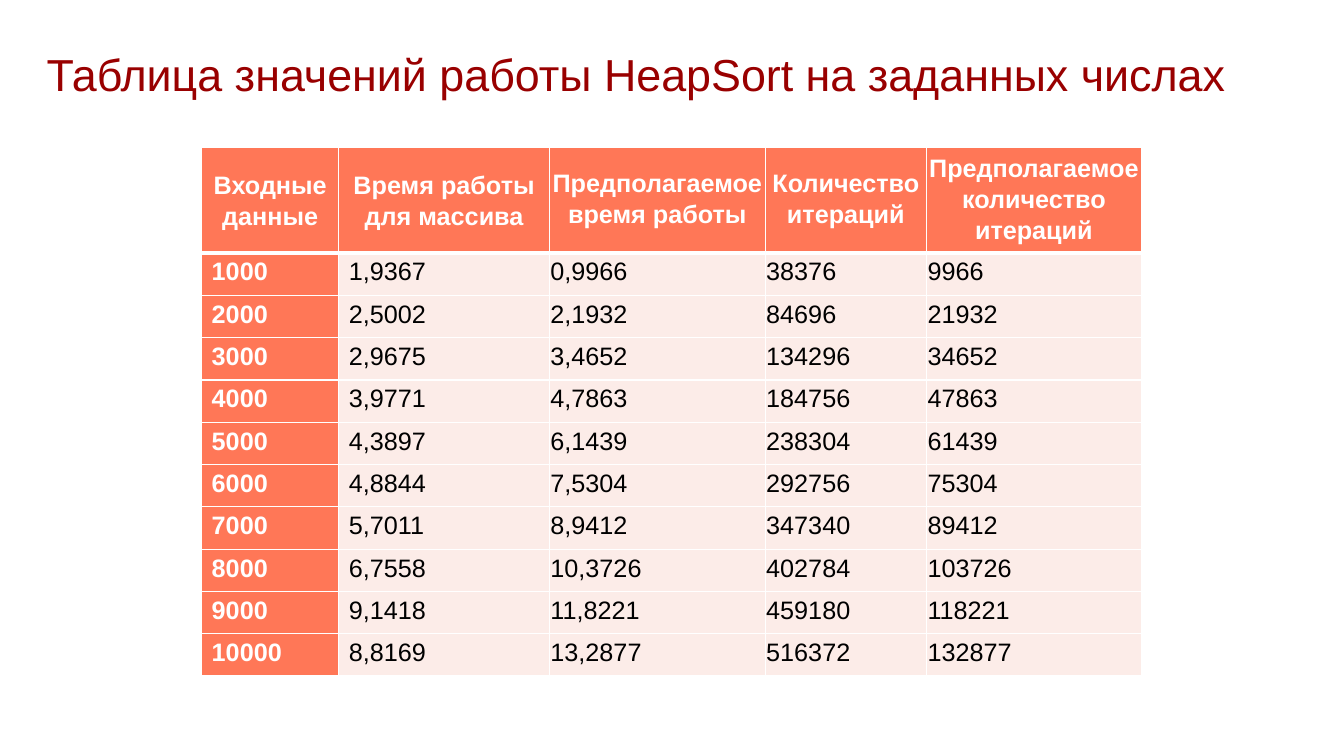
from lxml.etree import SubElement
from pptx import Presentation
from pptx.dml.color import RGBColor
from pptx.enum.text import MSO_ANCHOR, MSO_AUTO_SIZE, PP_ALIGN
from pptx.oxml.ns import qn
from pptx.util import Inches, Pt

HEADERS = ["Входные данные", "Время работы для массива", "Предполагаемое время работы",
           "Количество итераций", "Предполагаемое количество итераций"]
RESULTS = [
    ["1000", "1,9367", "0,9966", "38376", "9966"],
    ["2000", "2,5002", "2,1932", "84696", "21932"],
    ["3000", "2,9675", "3,4652", "134296", "34652"],
    ["4000", "3,9771", "4,7863", "184756", "47863"],
    ["5000", "4,3897", "6,1439", "238304", "61439"],
    ["6000", "4,8844", "7,5304", "292756", "75304"],
    ["7000", "5,7011", "8,9412", "347340", "89412"],
    ["8000", "6,7558", "10,3726", "402784", "103726"],
    ["9000", "9,1418", "11,8221", "459180", "118221"],
    ["10000", "8,8169", "13,2877", "516372", "132877"],
]
COLUMN_WIDTHS = [1.36, 2.09, 2.14, 1.6, 2.13]
ROW_HEIGHT = 0.42
WHITE, CORAL, BLUSH = "FFFFFF", "FF7757", "FCECE8"


def color(hex_string):
    return RGBColor.from_string(hex_string)


def set_font(para, size, hex_string, bold=False):
    para.font.name = "Arial"
    para.font.size = Pt(size)
    para.font.bold = bold
    para.font.color.rgb = color(hex_string)


def set_borders(cell, top, bottom):
    """White cell borders; top and bottom widths are in points."""
    properties = cell._tc.get_or_add_tcPr()
    widths = {"a:lnL": 1, "a:lnR": 1, "a:lnT": top, "a:lnB": bottom}
    for position, (tag, width) in enumerate(widths.items()):
        line = SubElement(properties, qn(tag), w=str(Pt(width)))
        fill = SubElement(line, qn("a:solidFill"))
        SubElement(fill, qn("a:srgbClr"), val=WHITE)
        properties.insert(position, line)


def add_title(page, left, top, width, height):
    box = page.shapes.add_textbox(Inches(left), Inches(top), Inches(width), Inches(height))
    frame = box.text_frame
    frame.word_wrap = True
    frame.auto_size = MSO_AUTO_SIZE.SHAPE_TO_FIT_TEXT
    para = frame.paragraphs[0]
    para.text = "Таблица значений работы HeapSort на заданных числах"
    para.alignment = PP_ALIGN.CENTER
    set_font(para, 32, "990000")


def style_cell(cell, row, column):
    is_header = row == 0
    is_label = is_header or column == 0
    is_tight = column >= 2
    cell.fill.solid()
    cell.fill.fore_color.rgb = color(CORAL if is_label else BLUSH)
    if is_header or is_tight:
        cell.vertical_anchor = MSO_ANCHOR.MIDDLE
    if is_tight:
        cell.margin_left = cell.margin_right = cell.margin_top = Inches(0.01)
        cell.margin_bottom = Inches(0.05)
    para = cell.text_frame.paragraphs[0]
    set_font(para, 18, WHITE if is_label else "000000", is_label)
    if is_header:
        para.alignment = PP_ALIGN.CENTER
        para.line_spacing = 1.1
    # A thicker rule separates the header from the results
    set_borders(cell, top=3 if row == 1 else 1, bottom=3 if is_header else 1)


def add_results_table(page, left, top, width, height):
    rows = [HEADERS] + RESULTS
    frame = page.shapes.add_table(len(rows), len(HEADERS), Inches(left), Inches(top),
                                  Inches(width), Inches(height))
    table = frame.table
    for column, column_width in zip(table.columns, COLUMN_WIDTHS):
        column.width = Inches(column_width)
    for row in table.rows:
        row.height = Inches(ROW_HEIGHT)
    # The header row grows to fit its text
    frame.height = Inches(height)
    for row, values in enumerate(rows):
        for column, value in enumerate(values):
            cell = table.cell(row, column)
            cell.text = value
            style_cell(cell, row, column)


def main():
    deck = Presentation()
    deck.slide_width, deck.slide_height = Inches(13.33), Inches(7.5)
    page = deck.slides.add_slide(deck.slide_layouts[6])
    add_title(page, 0, 0.41, 12.63, 0.64)
    add_results_table(page, 2, 1.46, sum(COLUMN_WIDTHS), 5.13)
    deck.save("out.pptx")


if __name__ == "__main__":
    main()
